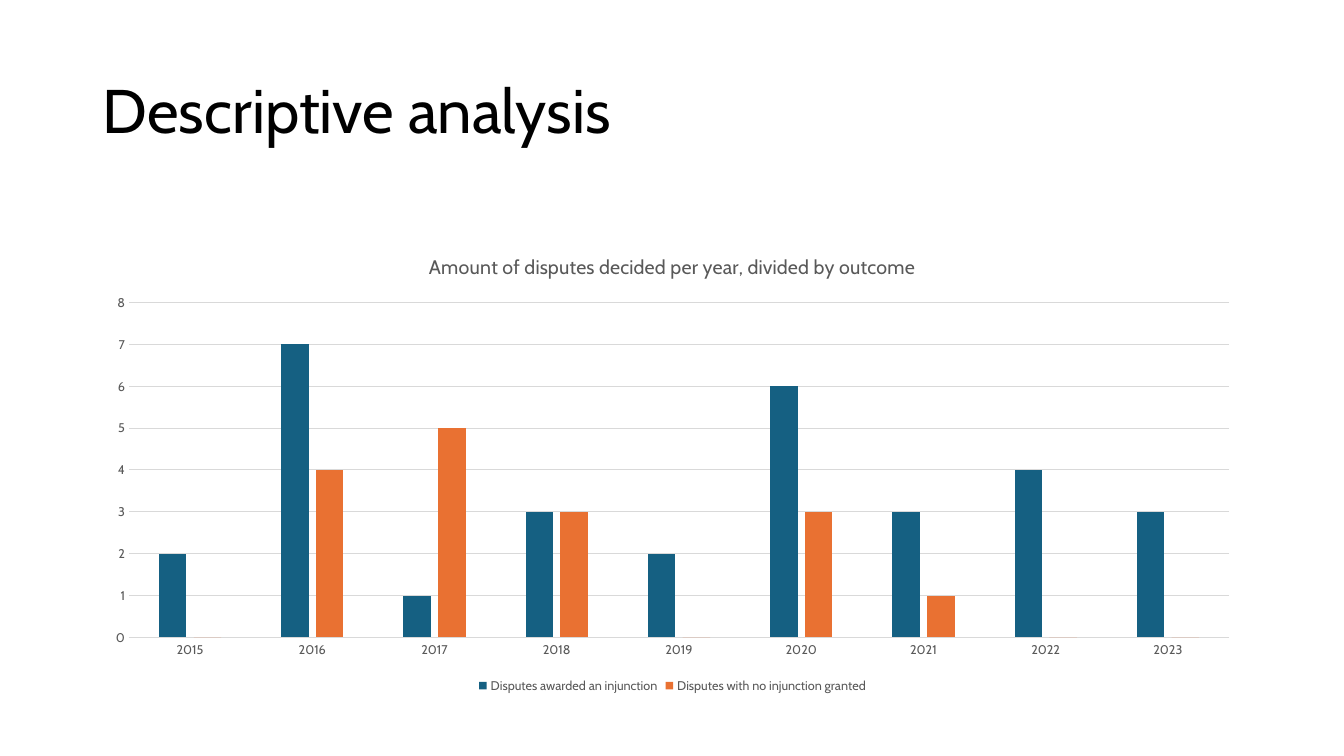
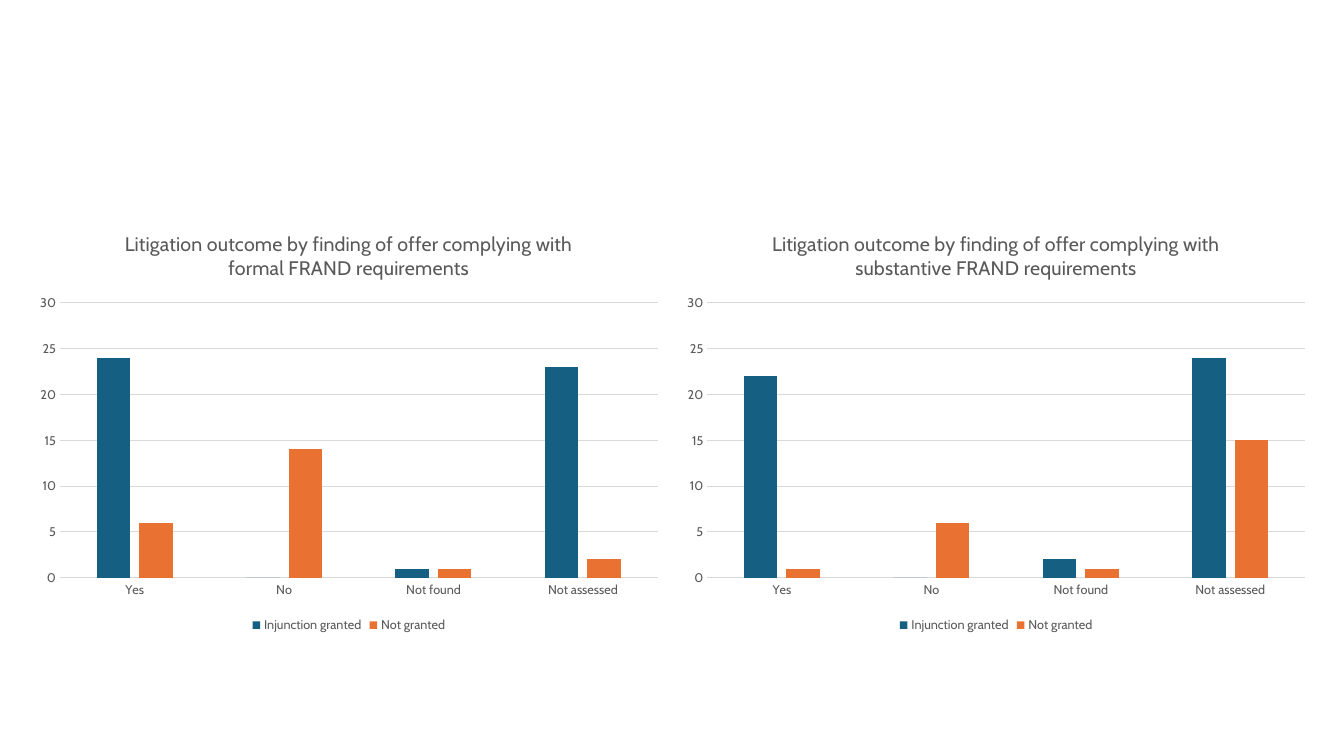
import pptx
import pptx.chart.data
import pptx.dml.color
import pptx.enum.chart
import pptx.enum.text
import pptx.util

# Content
OUTCOMES = ("Injunction granted", "Not granted")
FINDINGS = ("Yes", "No", "Not found", "Not assessed")

DECK = [
    {
        "title": "Descriptive analysis",
        "charts": [
            {
                "title": "Amount of disputes decided per year, divided by outcome",
                "categories": [str(year) for year in range(2015, 2024)],
                "series": {
                    "Disputes awarded an injunction": (2, 7, 1, 3, 2, 6, 3, 4, 3),
                    "Disputes with no injunction granted": (0, 4, 5, 3, 0, 3, 1, 0, 0),
                },
                "top_value": 8,
                "step": 1,
            },
        ],
        "area": {"left": 92, "top": 233, "width": 1150, "height": 459, "gap": 0},
    },
    {
        "title": None,
        "charts": [
            {
                "title": f"Litigation outcome by finding of offer complying with {kind} FRAND requirements",
                "categories": FINDINGS,
                "series": dict(zip(OUTCOMES, counts)),
                "top_value": 30,
                "step": 5,
            }
            for kind, counts in (
                ("formal", ((24, 0, 1, 23), (6, 14, 1, 2))),
                ("substantive", ((22, 0, 2, 24), (1, 6, 1, 15))),
            )
        ],
        "area": {"left": 27, "top": 211, "width": 1280, "height": 421, "gap": 4},
    },
]

# Geometry, in px
PX = 9144
SLIDE_SIZE = (1333, 750)
TITLE_BOX = {"left": 92, "top": 40, "width": 1150, "height": 145}
TITLE_ONLY, BLANK = 5, 6


def rgb(value):
    return pptx.dml.color.RGBColor.from_string(value)


def text_style(size, color):
    return {"name": "Cabin", "size": pptx.util.Pt(size), "bold": False, "color": rgb(color)}


class Theme:
    background = rgb("FFFFFF")
    grid = rgb("D9D9D9")
    grid_width = pptx.util.Pt(0.75)
    bars = (rgb("156082"), rgb("E97132"))
    slide_title = text_style(44, "000000")
    chart_base = text_style(10, "000000")
    chart_title = text_style(14, "595959")
    chart_label = text_style(9, "595959")


def assign(target, values):
    for name, value in values.items():
        setattr(target, name, value)


def style_font(font, style):
    for name, value in style.items():
        if name == "color":
            font.color.rgb = value
        else:
            setattr(font, name, value)


def style_rule(line):
    line.color.rgb = Theme.grid
    line.width = Theme.grid_width


def add_title(slide, wording):
    heading = slide.shapes.title
    assign(heading, {side: length * PX for side, length in TITLE_BOX.items()})
    frame = heading.text_frame
    frame.text = wording
    assign(frame, {"vertical_anchor": pptx.enum.text.MSO_ANCHOR.MIDDLE, "word_wrap": True})
    paragraph = frame.paragraphs[0]
    assign(paragraph, {"alignment": pptx.enum.text.PP_ALIGN.LEFT, "line_spacing": 0.9})
    style_font(paragraph.runs[0].font, Theme.slide_title)


def add_outcome_chart(slide, content, left, top, width, height):
    data = pptx.chart.data.CategoryChartData()
    data.categories = content["categories"]
    for name, counts in content["series"].items():
        data.add_series(name, counts)
    chart = slide.shapes.add_chart(
        pptx.enum.chart.XL_CHART_TYPE.COLUMN_CLUSTERED,
        *(round(length * PX) for length in (left, top, width, height)), data).chart
    style_font(chart.font, Theme.chart_base)

    # Title and legend
    chart.has_title = True
    caption = chart.chart_title.text_frame
    caption.text = content["title"]
    style_font(caption.paragraphs[0].runs[0].font, Theme.chart_title)
    chart.has_legend = True
    assign(chart.legend, {"position": pptx.enum.chart.XL_LEGEND_POSITION.BOTTOM,
                          "include_in_layout": False})
    style_font(chart.legend.font, Theme.chart_label)

    # Axes
    no_tick = pptx.enum.chart.XL_TICK_MARK.NONE
    years, counts = chart.category_axis, chart.value_axis
    for axis in (years, counts):
        assign(axis, {"major_tick_mark": no_tick, "minor_tick_mark": no_tick})
        style_font(axis.tick_labels.font, Theme.chart_label)
    style_rule(years.format.line)
    assign(counts, {"minimum_scale": 0, "maximum_scale": content["top_value"],
                    "major_unit": content["step"], "has_major_gridlines": True})
    counts.format.line.fill.background()
    style_rule(counts.major_gridlines.format.line)

    # Bars
    plot = chart.plots[0]
    assign(plot, {"gap_width": 219, "overlap": -27, "vary_by_categories": False})
    for outcome, color in zip(plot.series, Theme.bars):
        outcome.format.fill.solid()
        outcome.format.fill.fore_color.rgb = color


def add_slide(deck, content):
    layout = TITLE_ONLY if content["title"] else BLANK
    slide = deck.slides.add_slide(deck.slide_layouts[layout])
    if content["title"]:
        add_title(slide, content["title"])

    # Charts share the area in equal columns
    area, charts = content["area"], content["charts"]
    width = (area["width"] - area["gap"] * (len(charts) - 1)) / len(charts)
    for column, chart in enumerate(charts):
        left = area["left"] + column * (width + area["gap"])
        add_outcome_chart(slide, chart, left, area["top"], width, area["height"])


def main():
    deck = pptx.Presentation()
    deck.slide_width, deck.slide_height = (length * PX for length in SLIDE_SIZE)
    fill = deck.slide_master.background.fill
    fill.solid()
    fill.fore_color.rgb = Theme.background
    for content in DECK:
        add_slide(deck, content)
    deck.save("out.pptx")


if __name__ == "__main__":
    main()
